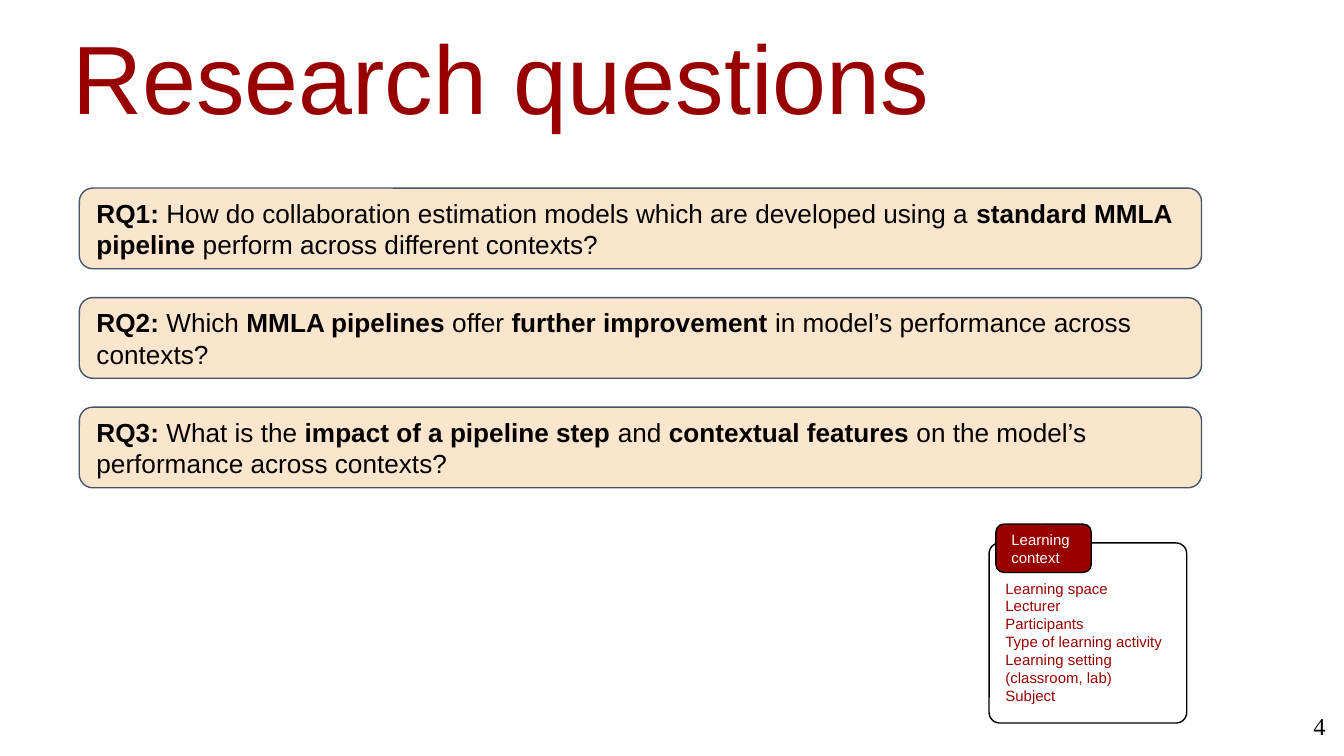
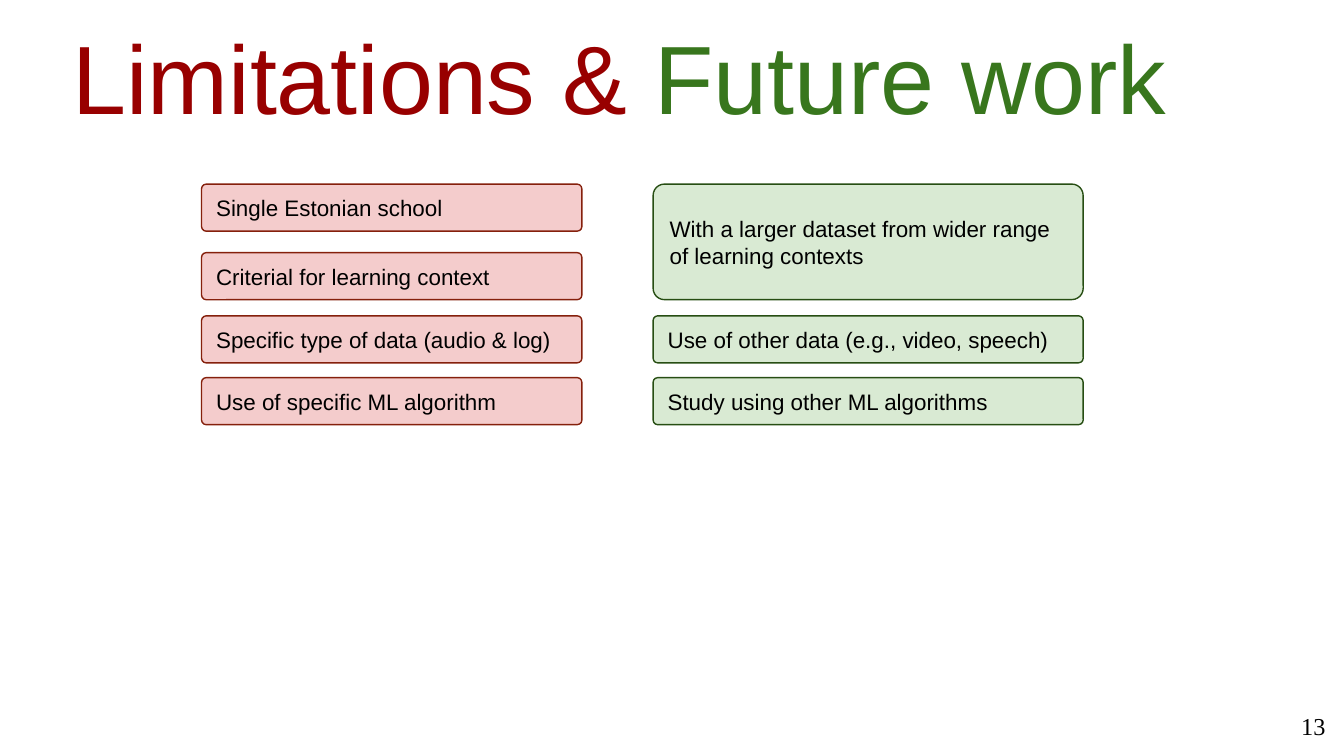
"""Build two slides: research questions, and limitations with future work."""
import dataclasses
import typing

import pptx
import pptx.dml.color
import pptx.enum.shapes
import pptx.enum.text
import pptx.slide
import pptx.text.text
import pptx.util

RGB = pptx.dml.color.RGBColor
ALIGN = pptx.enum.text.PP_ALIGN
ANCHOR = pptx.enum.text.MSO_ANCHOR

WIDE = pptx.util.Inches(10)
HIGH = pptx.util.Inches(5.625)
COL = WIDE / 100
ROW = HIGH / 45
PAD = pptx.util.Inches(0.1)

RED = RGB(0x98, 0x00, 0x00)
GREEN = RGB(0x38, 0x76, 0x1D)
BLACK = RGB(0x00, 0x00, 0x00)
WHITE = RGB(0xFF, 0xFF, 0xFF)
PEACH = RGB(0xFC, 0xE5, 0xCD)
SLATE = RGB(0x44, 0x54, 0x6A)
PINK = RGB(0xF4, 0xCC, 0xCC)
MAROON = RGB(0x85, 0x20, 0x0C)
MINT = RGB(0xD9, 0xEA, 0xD3)
FOREST = RGB(0x27, 0x4E, 0x13)


@dataclasses.dataclass(frozen=True)
class Area:
    left: float
    top: float
    width: float
    height: float

    def place(self) -> tuple[int, int, int, int]:
        return (round(self.left * COL), round(self.top * ROW),
                round(self.width * COL), round(self.height * ROW))


@dataclasses.dataclass(frozen=True)
class Style:
    fill: RGB
    line: RGB
    ink: RGB
    size: float
    round: float


class Part(typing.NamedTuple):
    text: str
    ink: RGB


TITLE = Area(4.4, 1.76, 95.6, 7.92)
NUMBER = Area(93.6, 41.52, 6, 3.44)

QUERY = Style(PEACH, SLATE, BLACK, 14, 0.167)
LIST = Style(WHITE, BLACK, RED, 8, 0.059)
TAG = Style(RED, BLACK, WHITE, 8, 0.167)
LIMIT = Style(PINK, MAROON, BLACK, 12, 0.098)
FUTURE = Style(MINT, FOREST, BLACK, 12, 0.098)

ASKED = (
    "**RQ1: **How do collaboration estimation models which are developed "
    "using a **standard MMLA pipeline** perform across different contexts?",
    "**RQ2: **Which **MMLA pipelines** offer **further improvement **in "
    "model’s performance across contexts?",
    "**RQ3: **What is the **impact of a pipeline step** and **contextual "
    "features** on the model’s performance across contexts?",
)
CONTEXT = ("Learning space", "Lecturer", "Participants",
           "Type of learning activity", "Learning setting (classroom, lab)",
           "Subject")

SLIM = 2.8
LINES = (10.96, 15.04, 18.8, 22.48)
LIMITS = ("Single Estonian school", "Criterial for learning context",
          "Specific type of data (audio & log)",
          "Use of specific ML algorithm")
PLANS = (
    (0, 1, "With a larger dataset from wider range of learning contexts"),
    (2, 2, "Use of other data (e.g., video, speech)"),
    (3, 3, "Study using other ML algorithms"),
)


def set_font(font: pptx.text.text.Font, name: str, size: float,
             ink: RGB) -> None:
    font.name = name
    font.size = pptx.util.Pt(size)
    font.color.rgb = ink


def set_frame(frame: pptx.text.text.TextFrame, anchor: ANCHOR,
              inset: int = PAD) -> None:
    frame.word_wrap = True
    frame.vertical_anchor = anchor
    frame.margin_left = frame.margin_right = PAD
    frame.margin_top = frame.margin_bottom = inset


def add_card(slide: pptx.slide.Slide, area: Area, style: Style,
             *texts: str) -> pptx.text.text.TextFrame:
    card = slide.shapes.add_shape(
        pptx.enum.shapes.MSO_SHAPE.ROUNDED_RECTANGLE, *area.place())
    card.adjustments[0] = style.round
    card.shadow.inherit = False
    card.fill.solid()
    card.fill.fore_color.rgb = style.fill
    card.line.color.rgb = style.line
    card.line.width = pptx.util.Pt(0.75)
    frame = card.text_frame
    set_frame(frame, ANCHOR.MIDDLE)
    for at, text in enumerate(texts):
        para = frame.add_paragraph() if at else frame.paragraphs[0]
        para.alignment = ALIGN.LEFT
        set_font(para.font, "Arial", style.size, style.ink)
        for turn, piece in enumerate(text.split("**")):
            if piece:
                run = para.add_run()
                run.text = piece
                if turn % 2:
                    run.font.bold = True
    return frame


def add_page(deck: pptx.Presentation, number: int,
             *parts: Part) -> pptx.slide.Slide:
    slide = deck.slides.add_slide(deck.slide_layouts[6])
    frame = slide.shapes.add_textbox(*TITLE.place()).text_frame
    set_frame(frame, ANCHOR.MIDDLE, PAD // 2)
    para = frame.paragraphs[0]
    para.line_spacing = 0.53
    set_font(para.font, "Arial", 52, parts[0].ink)
    for part in parts:
        run = para.add_run()
        run.text = part.text
        if part.ink != parts[0].ink:
            run.font.color.rgb = part.ink

    frame = slide.shapes.add_textbox(*NUMBER.place()).text_frame
    set_frame(frame, ANCHOR.TOP)
    para = frame.paragraphs[0]
    para.text = str(number)
    para.alignment = ALIGN.RIGHT
    set_font(para.font, "Times New Roman", 13, BLACK)
    return slide


def add_asked(deck: pptx.Presentation) -> None:
    slide = add_page(deck, 4, Part("Research questions", RED))
    for at, text in enumerate(ASKED):
        add_card(slide, Area(5.9, 11.2 + 6.52 * at, 83.5, 4.8), QUERY, text)
    frame = add_card(slide, Area(73.6, 32.32, 14.7, 10.72), LIST, *CONTEXT)
    frame.margin_top = pptx.util.Inches(0.23)
    add_card(slide, Area(74.1, 31.2, 7.1, 2.88), TAG, "Learning context")


def add_limits(deck: pptx.Presentation) -> None:
    slide = add_page(deck, 13, Part("Limitations & ", RED),
                     Part("Future work", GREEN))
    for top, text in zip(LINES, LIMITS):
        add_card(slide, Area(15, top, 28.3, SLIM), LIMIT, text)
    for first, last, text in PLANS:
        tall = LINES[last] - LINES[first] + SLIM
        add_card(slide, Area(48.6, LINES[first], 32, tall), FUTURE, text)


def main() -> None:
    deck = pptx.Presentation()
    deck.slide_width = WIDE
    deck.slide_height = HIGH
    add_asked(deck)
    add_limits(deck)
    deck.save("out.pptx")


if __name__ == "__main__":
    main()
